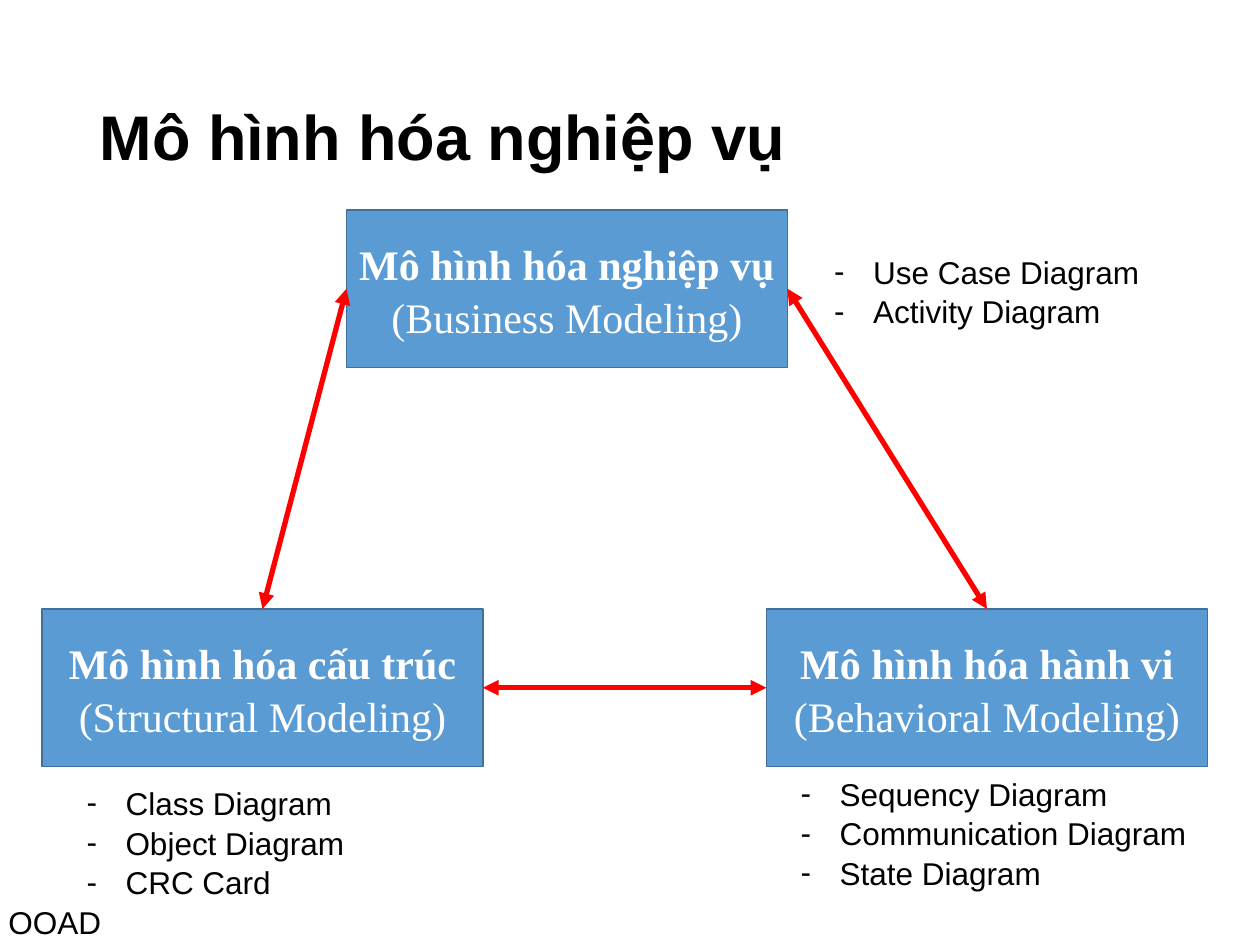
from lxml import etree
from pptx import Presentation, util as u
from pptx.dml.color import RGBColor
from pptx.enum import shapes, text
from pptx.oxml.ns import qn

COLS, ROWS = 120, 90
WIDE, HIGH = 42, 15


def paint(code):
    return RGBColor.from_string(code)


class Deck:
    ink, pale, fill, edge, red = "000000", "FFFFFF", "5B9BD4", "41709C", "FF0000"
    sans, serif = "Arial", "Times New Roman"

    def __init__(self):
        self.prs = Presentation()
        self.prs.slide_width, self.prs.slide_height = u.Inches(10), u.Inches(7.5)
        self.slide = self.prs.slides.add_slide(self.prs.slide_layouts[5])

    def grid(self, col, row):
        return (int(self.prs.slide_width * col / COLS),
                int(self.prs.slide_height * row / ROWS))

    def frame(self, shape, lines, anchor=text.MSO_ANCHOR.TOP):
        body = shape.text_frame
        body.margin_left = body.margin_right = 0
        body.margin_top = body.margin_bottom = 0
        body.word_wrap = True
        body.auto_size = text.MSO_AUTO_SIZE.NONE
        body.vertical_anchor = anchor
        body.text = "\n".join(lines)
        return body.paragraphs

    def style(self, para, size, name, color, bold=False):
        font = para.font
        font.size, font.name, font.bold = u.Pt(size), name, bold
        font.color.rgb = paint(color)

    def title(self, words, col, row, wide, high):
        shape = self.slide.shapes.title
        shape.left, shape.top = self.grid(col, row)
        shape.width, shape.height = self.grid(wide, high)
        para = self.frame(shape, [words])[0]
        para.alignment = text.PP_ALIGN.LEFT
        para.space_before = u.Pt(1)
        self.style(para, 36, self.sans, self.ink, True)

    def box(self, name, gloss, col, row):
        shape = self.slide.shapes.add_shape(
            shapes.MSO_SHAPE.RECTANGLE, *self.grid(col, row), *self.grid(WIDE, HIGH))
        shape.shadow.inherit = False
        shape.fill.solid()
        shape.fill.fore_color.rgb = paint(self.fill)
        shape.line.color.rgb = paint(self.edge)
        shape.line.width = u.Pt(0.96)
        paras = self.frame(shape, [name, gloss], text.MSO_ANCHOR.MIDDLE)
        for para, bold in zip(paras, (True, False)):
            para.alignment = text.PP_ALIGN.CENTER
            para.line_spacing = 1.05
            self.style(para, 24, self.serif, self.pale, bold)
        return shape

    def link(self, start, out, end, into):
        line = self.slide.shapes.add_connector(shapes.MSO_CONNECTOR.STRAIGHT, 0, 0, 0, 0)
        line.begin_connect(start, out)
        line.end_connect(end, into)
        line.line.color.rgb = paint(self.red)
        line.line.width = u.Pt(3)
        stroke = line.line._get_or_add_ln()
        for tip in ("a:headEnd", "a:tailEnd"):
            etree.SubElement(stroke, qn(tip), type="triangle")
        etree.SubElement(line._element.spPr, qn("a:effectLst"))

    def note(self, lines, col, row, wide, high, dash=True):
        shape = self.slide.shapes.add_textbox(*self.grid(col, row), *self.grid(wide, high))
        for para in self.frame(shape, lines):
            self.style(para, 18, self.sans, self.ink)
            if dash:
                para.line_spacing = 1.05
                props = para._p.get_or_add_pPr()
                props.set("marL", str(u.Inches(0.33)))
                props.set("indent", str(u.Inches(-0.31)))
                etree.SubElement(props, qn("a:buFont"), typeface=self.sans)
                etree.SubElement(props, qn("a:buChar"), char="-")
                props.append(props.find(qn("a:defRPr")))


def main():
    deck = Deck()
    deck.title("Mô hình hóa nghiệp vụ", 9.5, 9.25, 68, 7.5)
    top = deck.box("Mô hình hóa nghiệp vụ", "(Business Modeling)", 33, 20)
    left = deck.box("Mô hình hóa cấu trúc", "(Structural Modeling)", 4, 58)
    right = deck.box("Mô hình hóa hành vi", "(Behavioral Modeling)", 73, 58)
    deck.link(top, 3, right, 0)
    deck.link(top, 1, left, 0)
    deck.link(left, 3, right, 1)
    deck.note(["Use Case Diagram", "Activity Diagram"], 79.2, 23.9, 30, 7.5)
    deck.note(["OOAD"], 0.8, 86, 9.5, 3.75, dash=False)
    deck.note(["Class Diagram", "Object Diagram", "CRC Card"], 8, 74.5, 27, 11)
    deck.note(["Sequency Diagram", "Communication Diagram", "State Diagram"],
              76, 73.6, 38, 11)
    deck.prs.save("out.pptx")


if __name__ == "__main__":
    main()
